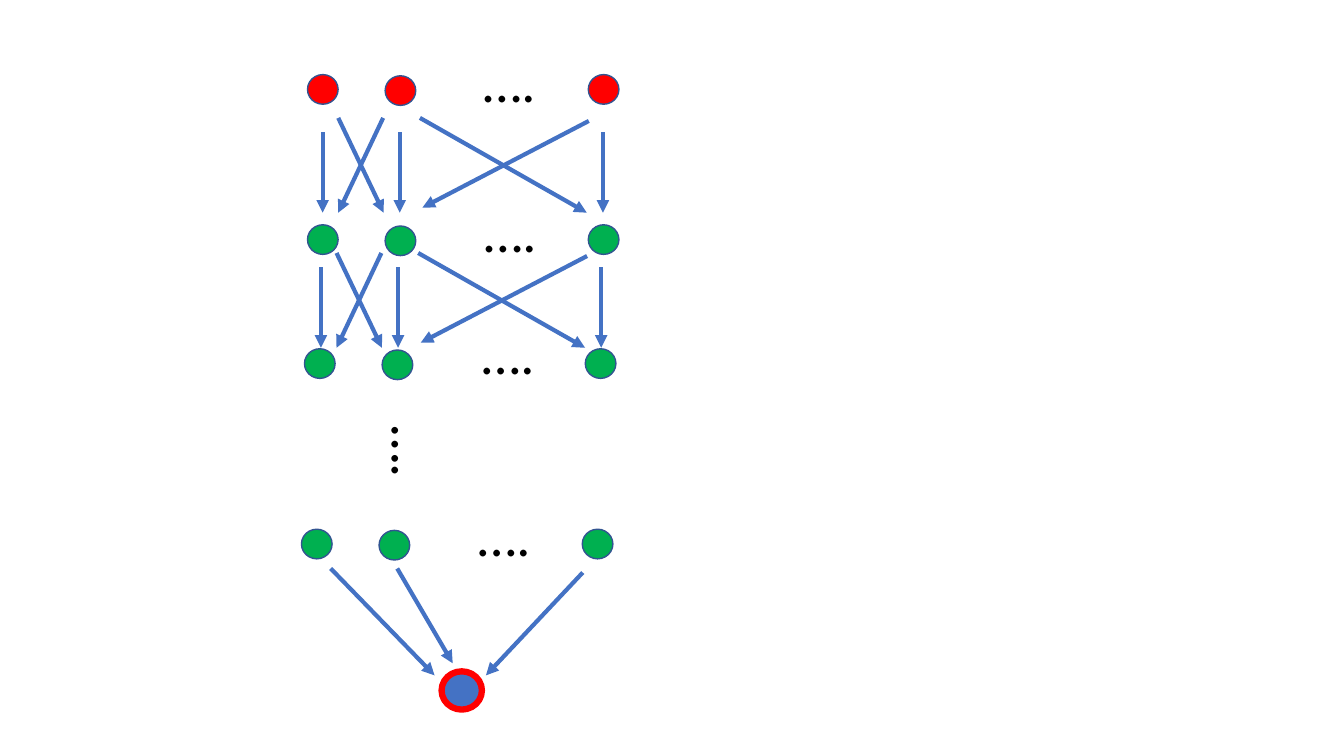
from lxml import etree
from pptx import Presentation
from pptx import util as u
from pptx.dml.color import RGBColor
from pptx.enum import shapes, text
from pptx.oxml.ns import qn

COLORS = {
    "input": "FF0000",
    "hidden": "00B050",
    "output": "4472C4",
    "node_outline": "325491",
    "output_outline": "FF0000",
    "arrow": "4472C4",
    "dots": "000000",
}
CELL = u.Inches(0.1)
NODE_SIZE = (3.04, 2.94)
OUTPUT_SIZE = (4, 3.8)
DOTS_SIZE = (10.3, 7.7)
NODE_OFFSETS = [(0, 0), (7.7, 0.12), (27.85, 0)]
LAYERS = [
    ((30.5, 7.4), (16.4, -3.3), "input"),
    ((30.5, 22.3), (16.5, -3.3), "hidden"),
    ((30.2, 34.6), (16.6, -3.5), "hidden"),
    ((29.9, 52.5), (16.5, -3.3), "hidden"),
]
LINK_ORIGINS = [(32, 11.7), (31.83, 25.1)]
LAYER_LINKS = [
    ((0, 1.4), (0, 9.4)),
    ((7.65, 1.4), (7.65, 9.4)),
    ((27.8, 1.4), (27.8, 9.4)),
    ((1.55, 0), (6.05, 9.4)),
    ((6, 0), (1.55, 9.4)),
    ((9.65, 0), (26.2, 9.4)),
    ((26.4, 0.3), (9.9, 8.9)),
]
OUTPUT_LINKS = [
    ((32.8, 56.4), (43.1, 67)),
    ((39.4, 56.4), (44.9, 65.8)),
    ((57.8, 56.8), (48.2, 67)),
]


def grid(*cells):
    return [round(cell * CELL) for cell in cells]


def shift(origin, offset):
    return origin[0] + offset[0], origin[1] + offset[1]


def color(name):
    return RGBColor.from_string(COLORS[name])


def add_node(slide, corner, size, fill, outline, width):
    node = slide.shapes.add_shape(shapes.MSO_SHAPE.OVAL, *grid(*corner, *size))
    node.shadow.inherit = False
    node.fill.solid()
    node.fill.fore_color.rgb = color(fill)
    node.line.color.rgb = color(outline)
    node.line.width = u.Pt(width)


def add_dots(slide, corner, rotation=0):
    box = slide.shapes.add_textbox(*grid(*corner, *DOTS_SIZE))
    box.rotation = rotation
    frame = box.text_frame
    frame.word_wrap = True
    frame.auto_size = text.MSO_AUTO_SIZE.SHAPE_TO_FIT_TEXT
    paragraph = frame.paragraphs[0]
    paragraph.text = "…."
    paragraph.font.size = u.Pt(40)
    paragraph.font.name = "Calibri"
    paragraph.font.color.rgb = color("dots")


def add_arrow(slide, start, end):
    arrow = slide.shapes.add_connector(
        shapes.MSO_CONNECTOR.STRAIGHT, *grid(*start, *end))
    arrow.line.color.rgb = color("arrow")
    arrow.line.width = u.Pt(3)
    properties = arrow._element.spPr
    outline = properties.find(qn("a:ln"))
    etree.SubElement(outline, qn("a:tailEnd"), type="triangle")
    etree.SubElement(properties, qn("a:effectLst"))


def add_layer(slide, corner, dots_offset, fill):
    for offset in NODE_OFFSETS:
        add_node(slide, shift(corner, offset), NODE_SIZE, fill, "node_outline", 1)
    add_dots(slide, shift(corner, dots_offset))


def add_links(slide, origin, links):
    for start, end in links:
        add_arrow(slide, shift(origin, start), shift(origin, end))


def add_network(slide):
    for corner, dots_offset, fill in LAYERS:
        add_layer(slide, corner, dots_offset, fill)
    add_node(slide, (43.8, 66.6), OUTPUT_SIZE, "output", "output_outline", 4.5)
    add_dots(slide, (35.9, 42.5), rotation=90)
    for origin in LINK_ORIGINS:
        add_links(slide, origin, LAYER_LINKS)
    add_links(slide, (0, 0), OUTPUT_LINKS)


def main():
    presentation = Presentation()
    presentation.slide_width = u.Inches(13.33)
    presentation.slide_height = u.Inches(7.5)
    slide = presentation.slides.add_slide(presentation.slide_layouts[6])
    add_network(slide)
    presentation.save("out.pptx")


if __name__ == "__main__":
    main()
